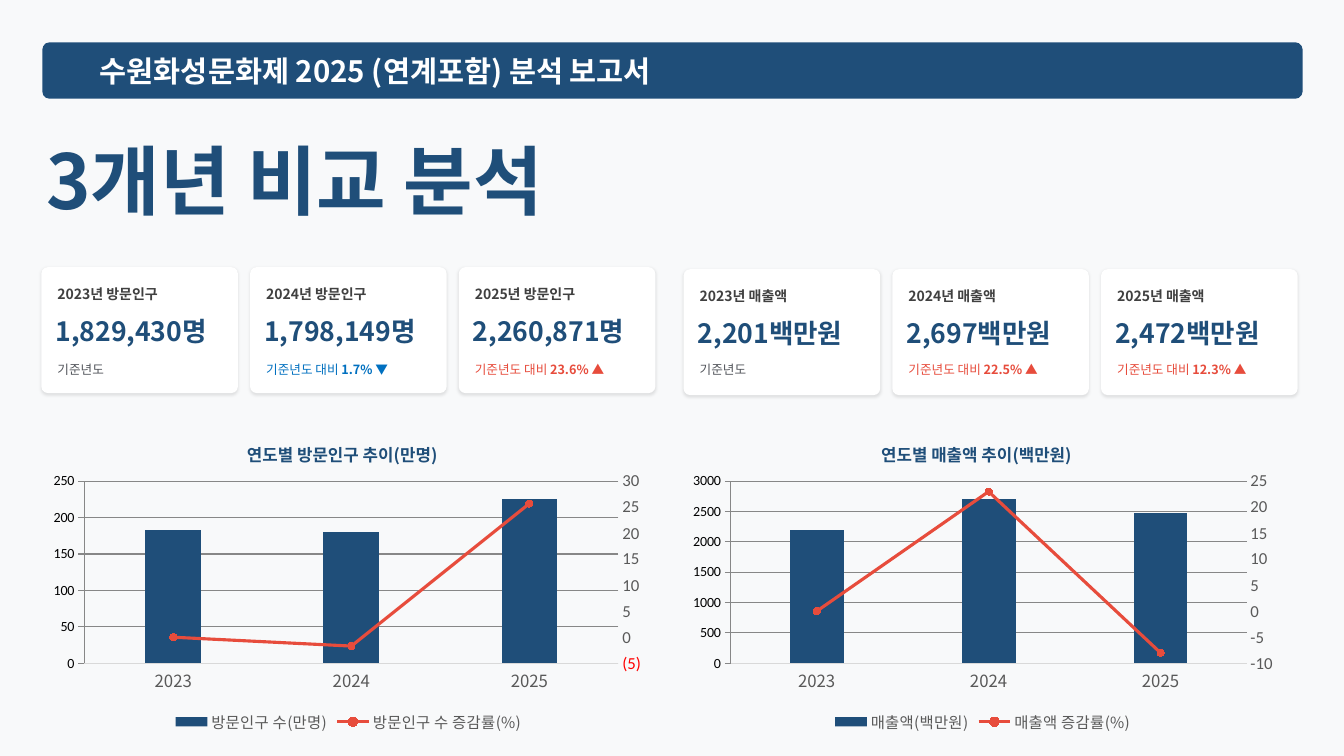
from dataclasses import dataclass

from lxml.etree import SubElement
from pptx import Presentation
from pptx.chart.axis import ValueAxis
from pptx.chart.data import CategoryChartData
from pptx.dml.color import RGBColor
from pptx.enum.chart import XL_CHART_TYPE, XL_LEGEND_POSITION, XL_MARKER_STYLE, XL_TICK_MARK
from pptx.enum.shapes import MSO_SHAPE
from pptx.enum.text import MSO_ANCHOR
from pptx.oxml import parse_xml
from pptx.oxml.ns import nsdecls, qn
from pptx.util import Inches, Pt


@dataclass(frozen=True)
class Theme:
    navy: str = "1F4E79"
    red: str = "E74C3C"
    blue: str = "0070C0"
    white: str = "FFFFFF"
    page: str = "F8F9FA"
    label: str = "404040"
    note: str = "51545A"
    axis: str = "595959"
    grid: str = "D9D9D9"
    korean: str = "Noto Sans CJK KR"
    latin: str = "Calibri"
    headline_size: int = 54
    banner_size: int = 21
    value_size: int = 19
    label_size: int = 10
    note_size: int = 9
    axis_size: int = 12
    legend_size: int = 11


THEME = Theme()

BANNER = "수원화성문화제 2025 (연계포함) 분석 보고서"
HEADLINE = "3개년 비교 분석"
YEARS = ["2023", "2024", "2025"]
BASE, VERSUS = "기준년도", "기준년도 대비 "

# Each card: label, label width, value, note, change, note colour
CARD_GROUPS = [
    {"left": 0.41, "top": 2.65, "cards": [
        ("2023년 방문인구", 1.12, "1,829,430명", BASE, "", THEME.note),
        ("2024년 방문인구", 1.08, "1,798,149명", VERSUS, "1.7% ▼", THEME.blue),
        ("2025년 방문인구", 1.03, "2,260,871명", VERSUS, "23.6% ▲", THEME.red)]},
    {"left": 6.78, "top": 2.67, "cards": [
        ("2023년 매출액", 0.95, "2,201백만원", BASE, "", THEME.note),
        ("2024년 매출액", 0.95, "2,697백만원", VERSUS, "22.5% ▲", THEME.red),
        ("2025년 매출액", 0.95, "2,472백만원", VERSUS, "12.3% ▲", THEME.red)]},
]
CARD_WIDTH, CARD_HEIGHT, CARD_STEP = 1.95, 1.25, 2.07
NOTE_TOP = 3.56

CHARTS = [
    {"left": 0.41, "title": "연도별 방문인구 추이(만명)",
     "bars": ("방문인구 수(만명)", [183, 180, 226]),
     "line": ("방문인구 수 증감률(%)", [0, -1.7, 25.7]),
     "format": r"#,##0_);[Red]\(#,##0\)", "plot": (0.07, 0.2, 0.87, 0.57)},
    {"left": 6.7, "title": "연도별 매출액 추이(백만원)",
     "bars": ("매출액(백만원)", [2200, 2700, 2470]),
     "line": ("매출액 증감률(%)", [0, 23, -8]),
     "format": "#,##0_ ", "plot": (0.09, 0.2, 0.84, 0.57)},
]
CHART_TOP, CHART_WIDTH, CHART_HEIGHT = 4.14, 6.09, 3.17
TITLE_SPOT = (0.33, 0.06)


def color(code):
    return RGBColor.from_string(code)


def style_font(font, size, code, bold=None, name=THEME.korean):
    font.name, font.size, font.bold = name, Pt(size), bold
    font.color.rgb = color(code)


def add_text(slide, box, parts, size, code, bold=None):
    """Add a text box without margins; parts are (text, bold) runs."""
    frame = slide.shapes.add_textbox(*map(Inches, box)).text_frame
    frame.word_wrap = True
    frame.vertical_anchor = MSO_ANCHOR.MIDDLE
    frame.margin_left = frame.margin_right = frame.margin_top = frame.margin_bottom = 0
    paragraph = frame.paragraphs[0]
    for text, run_bold in parts:
        run = paragraph.add_run()
        run.text = text
        run.font.bold = run_bold
    style_font(paragraph.font, size, code, bold)


def add_panel(slide, box, fill, corner):
    shape = slide.shapes.add_shape(MSO_SHAPE.ROUNDED_RECTANGLE, *map(Inches, box))
    shape.adjustments[0] = corner
    shape.shadow.inherit = False
    shape.fill.solid()
    shape.fill.fore_color.rgb = color(fill)
    shape.line.fill.background()
    return shape


def add_soft_shadow(shape):
    effects = shape._element.spPr.find(qn("a:effectLst"))
    shadow = SubElement(effects, qn("a:outerShdw"), blurRad=str(Pt(2)), dist=str(Pt(1)),
                        dir="5400000", algn="t", rotWithShape="0")
    black = SubElement(shadow, qn("a:srgbClr"), val="000000")
    SubElement(black, qn("a:alpha"), val="10000")


def add_card(slide, left, top, label, label_width, value, note, change, note_color):
    add_soft_shadow(add_panel(slide, (left, top, CARD_WIDTH, CARD_HEIGHT), THEME.white, 0.053))
    add_text(slide, (left + 0.16, top + 0.18, label_width, 0.17), [(label, None)],
             THEME.label_size, THEME.label, True)
    add_text(slide, (left + 0.14, top + 0.49, CARD_WIDTH, 0.29), [(value, None)],
             THEME.value_size, THEME.navy, True)
    parts = [(note, None)] + ([(change, True)] if change else [])
    add_text(slide, (left + 0.16, NOTE_TOP, 1.75, 0.21), parts, THEME.note_size, note_color)


def place(parent, spot, inner=False):
    """Give a chart title or plot area a fixed place, as shares of the chart."""
    for old in parent.findall(qn("c:layout")):
        parent.remove(old)
    target = '<c:layoutTarget val="inner"/>' if inner else ""
    modes = '<c:xMode val="edge"/><c:yMode val="edge"/>'
    values = "".join(f'<c:{key} val="{share}"/>' for key, share in zip("xywh", spot))
    layout = parse_xml(f'<c:layout {nsdecls("c")}><c:manualLayout>{target}{modes}{values}'
                       "</c:manualLayout></c:layout>")
    text = parent.find(qn("c:tx"))
    if text is None:
        parent.insert(0, layout)
    else:
        text.addnext(layout)


def move_rate_to_right_axis(chart):
    """Turn the second bar series into a line on its own axis; return that axis."""
    plot_area = chart._chartSpace.chart.plotArea
    bars = plot_area.find(qn("c:barChart"))
    series = bars.findall(qn("c:ser"))[1]
    for bar_only in series.findall(qn("c:invertIfNegative")):
        series.remove(bar_only)
    line = parse_xml(f'<c:lineChart {nsdecls("c")}><c:grouping val="standard"/>'
                     '<c:varyColors val="0"/><c:marker val="1"/>'
                     '<c:axId val="501"/><c:axId val="502"/></c:lineChart>')
    line.insert(2, series)
    bars.addnext(line)
    axes = [
        ("catAx", 501, 502, 1, "b", "autoZero"),
        ("valAx", 502, 501, 0, "r", "max"),
    ]
    last = plot_area.findall(qn("c:valAx"))[-1]
    for tag, own, other, hidden, side, crosses in axes:
        axis = parse_xml(
            f'<c:{tag} {nsdecls("c")}><c:axId val="{own}"/>'
            '<c:scaling><c:orientation val="minMax"/></c:scaling>'
            f'<c:delete val="{hidden}"/><c:axPos val="{side}"/>'
            '<c:numFmt formatCode="General" sourceLinked="0"/><c:majorTickMark val="out"/>'
            '<c:minorTickMark val="none"/><c:tickLblPos val="nextTo"/>'
            f'<c:crossAx val="{other}"/><c:crosses val="{crosses}"/></c:{tag}>')
        last.addnext(axis)
        last = axis
    return ValueAxis(last)


def add_trend_chart(slide, content):
    data = CategoryChartData()
    data.categories = YEARS
    for name, values in (content["bars"], content["line"]):
        data.add_series(name, values)
    box = (content["left"], CHART_TOP, CHART_WIDTH, CHART_HEIGHT)
    chart = slide.shapes.add_chart(XL_CHART_TYPE.COLUMN_CLUSTERED, *map(Inches, box), data).chart
    style_font(chart.font, THEME.label_size, "000000", name=THEME.latin)
    right_axis = move_rate_to_right_axis(chart)

    title = chart.chart_title
    title.text_frame.text = content["title"]
    style_font(title.text_frame.paragraphs[0].font, THEME.axis_size, THEME.navy, True)
    place(title._element, TITLE_SPOT)
    place(chart._chartSpace.chart.plotArea, content["plot"], inner=True)

    chart.has_legend = True
    chart.legend.position = XL_LEGEND_POSITION.BOTTOM
    chart.legend.include_in_layout = False
    style_font(chart.legend.font, THEME.legend_size, THEME.axis)

    left_axis, years = chart.value_axis, chart.category_axis
    for axis, name in ((years, THEME.korean), (left_axis, THEME.latin), (right_axis, THEME.latin)):
        style_font(axis.tick_labels.font, THEME.axis_size, THEME.axis, name=name)
        axis.format.line.fill.background()
    years.major_tick_mark = left_axis.major_tick_mark = XL_TICK_MARK.NONE
    left_axis.tick_labels.number_format = content["format"]
    left_axis.tick_labels.number_format_is_linked = False
    for line in (years.format.line, left_axis.major_gridlines.format.line):
        line.color.rgb, line.width = color(THEME.grid), Pt(0.75)

    bar_plot, line_plot = chart.plots
    bar_plot.gap_width = 219
    bar_plot.vary_by_categories = False
    rate = line_plot.series[0]
    rate.smooth = False
    rate.format.line.color.rgb, rate.format.line.width = color(THEME.red), Pt(2.25)
    rate.marker.style, rate.marker.size = XL_MARKER_STYLE.CIRCLE, 5
    rate.marker.format.line.color.rgb = color(THEME.red)
    for part, code in ((bar_plot.series[0], THEME.navy), (rate.marker, THEME.red)):
        part.format.fill.solid()
        part.format.fill.fore_color.rgb = color(code)


def main():
    presentation = Presentation()
    presentation.slide_width, presentation.slide_height = Inches(13.33), Inches(7.5)
    slide = presentation.slides.add_slide(presentation.slide_layouts[6])
    slide.background.fill.solid()
    slide.background.fill.fore_color.rgb = color(THEME.page)
    for group in CARD_GROUPS:
        for column, card in enumerate(group["cards"]):
            add_card(slide, group["left"] + column * CARD_STEP, group["top"], *card)
    add_panel(slide, (0.42, 0.42, 12.5, 0.56), THEME.navy, 0.13)
    add_text(slide, (0.99, 0.49, 11.35, 0.43), [(BANNER, None)],
             THEME.banner_size, THEME.white, True)
    add_text(slide, (0.46, 1.23, 6.32, 1.09), [(HEADLINE, None)],
             THEME.headline_size, THEME.navy, True)
    for content in CHARTS:
        add_trend_chart(slide, content)
    presentation.save("out.pptx")


if __name__ == "__main__":
    main()
